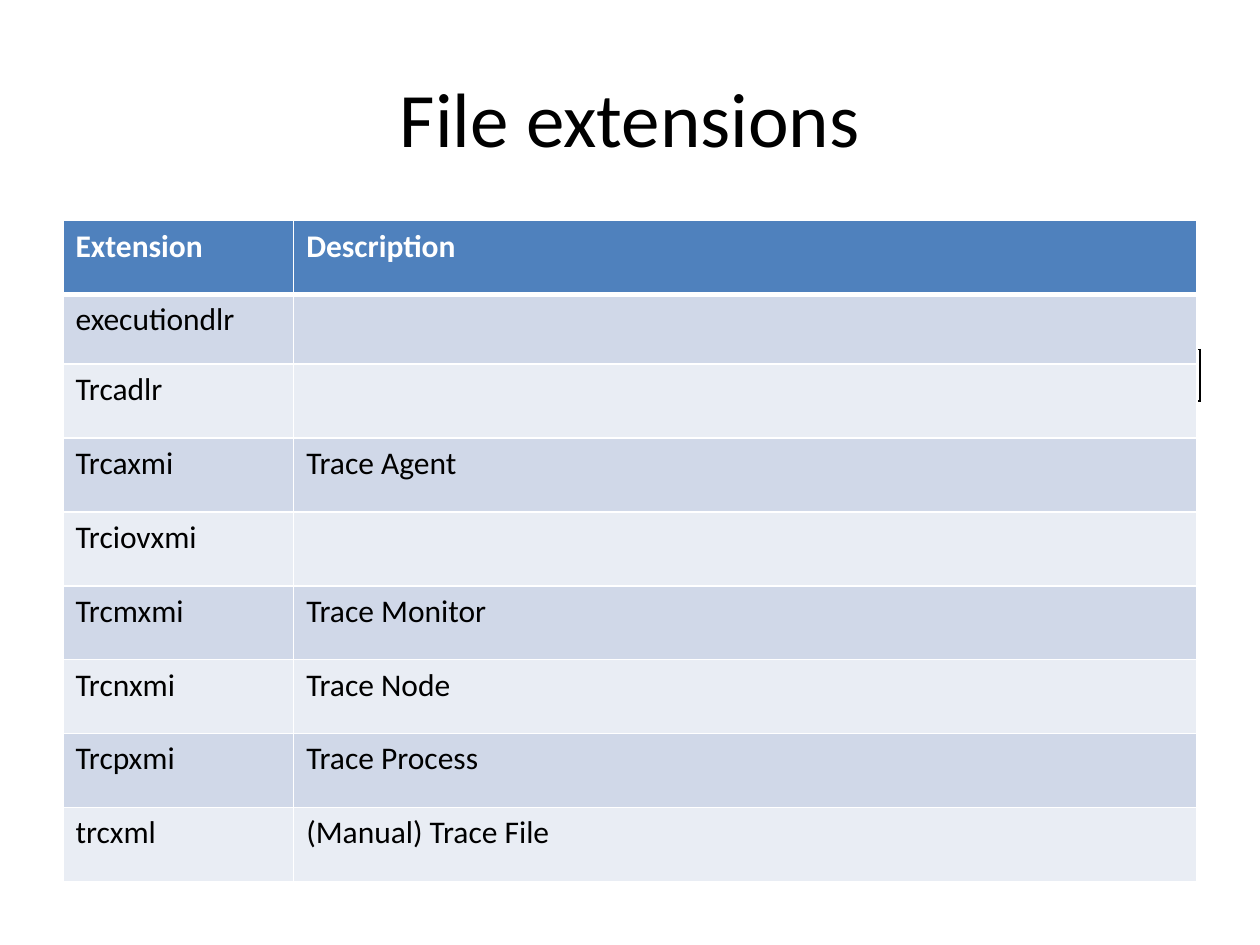
"""Build the slide that lists the file extensions of the trace tools."""
from dataclasses import dataclass

from lxml.etree import SubElement
from pptx import Presentation
from pptx.dml.color import RGBColor as Rgb
from pptx.enum.text import MSO_ANCHOR as Anchor, PP_ALIGN as Align
from pptx.oxml.ns import qn
from pptx.util import Cm, Pt


@dataclass(frozen=True)
class Theme:
    font: str = "Calibri"
    title_size: int = 44
    table_size: int = 18
    black: str = "000000"
    white: str = "FFFFFF"
    header: str = "4F81BD"
    bands: tuple = ("D0D8E8", "E9EDF4")


theme = Theme()


def set_borders(cell, color, widths):
    """Draw the left, right, top and bottom edges in points."""
    props = cell._tc.get_or_add_tcPr()
    for side, width in zip("LRTB", widths):
        line = SubElement(props, qn(f"a:ln{side}"), w=str(Pt(width)))
        fill = SubElement(line, qn("a:solidFill"))
        SubElement(fill, qn("a:srgbClr"), val=color)


def write(para, text, size, color, bold=False):
    """Add one formatted run, or size the paragraph when it is empty."""
    para.font.size = Pt(size)
    if text:
        span = para.add_run()
        span.text = text
        span.font.name = theme.font
        span.font.size = Pt(size)
        span.font.bold = bold
        span.font.color.rgb = Rgb.from_string(color)


deck = Presentation()
deck.slide_width, deck.slide_height = Cm(25.4), Cm(19.05)
page = deck.slides.add_slide(deck.slide_layouts[5])

title = page.shapes.title
title.left, title.top, title.width, title.height = Cm(1.27), Cm(0.76), Cm(22.86), Cm(3.18)
title.text_frame.vertical_anchor = Anchor.MIDDLE
title_para = title.text_frame.paragraphs[0]
title_para.alignment = Align.CENTER
write(title_para, "File extensions", theme.title_size, theme.black)

frame_box = page.shapes.add_table(1, 1, Cm(1.3), Cm(7.05), Cm(22.89), Cm(1.02))
frame_box.table.first_row = frame_box.table.horz_banding = False
frame_cell = frame_box.table.cell(0, 0)
set_borders(frame_cell, theme.black, (1, 1, 1, 1))
frame_cell.fill.background()

entries = [
    ("Extension", "Description"),
    ("executiondlr", ""),
    ("Trcadlr", ""),
    ("Trcaxmi", "Trace Agent"),
    ("Trciovxmi", ""),
    ("Trcmxmi", "Trace Monitor"),
    ("Trcnxmi", "Trace Node"),
    ("Trcpxmi", "Trace Process"),
    ("trcxml", "(Manual) Trace File"),
]
table_box = page.shapes.add_table(len(entries), 2, Cm(1.27), Cm(4.45), Cm(22.86), Cm(13.34))
table = table_box.table
table.horz_banding = False
for column, width in zip(table.columns, (4.65, 18.21)):
    column.width = Cm(width)

for row_index, entry in enumerate(entries):
    is_header = row_index == 0
    table.rows[row_index].height = Cm(1.4 if row_index == 1 else 1.49)
    fill_color = theme.header if is_header else theme.bands[(row_index - 1) % 2]
    text_color = theme.white if is_header else theme.black
    top_width = 3 if row_index == 1 else 1
    bottom_width = 3 if is_header else 1
    for column_index, text in enumerate(entry):
        cell = table.cell(row_index, column_index)
        set_borders(cell, theme.white, (1, 1, top_width, bottom_width))
        cell.fill.solid()
        cell.fill.fore_color.rgb = Rgb.from_string(fill_color)
        write(cell.text_frame.paragraphs[0], text, theme.table_size, text_color, is_header)

deck.save("out.pptx")
